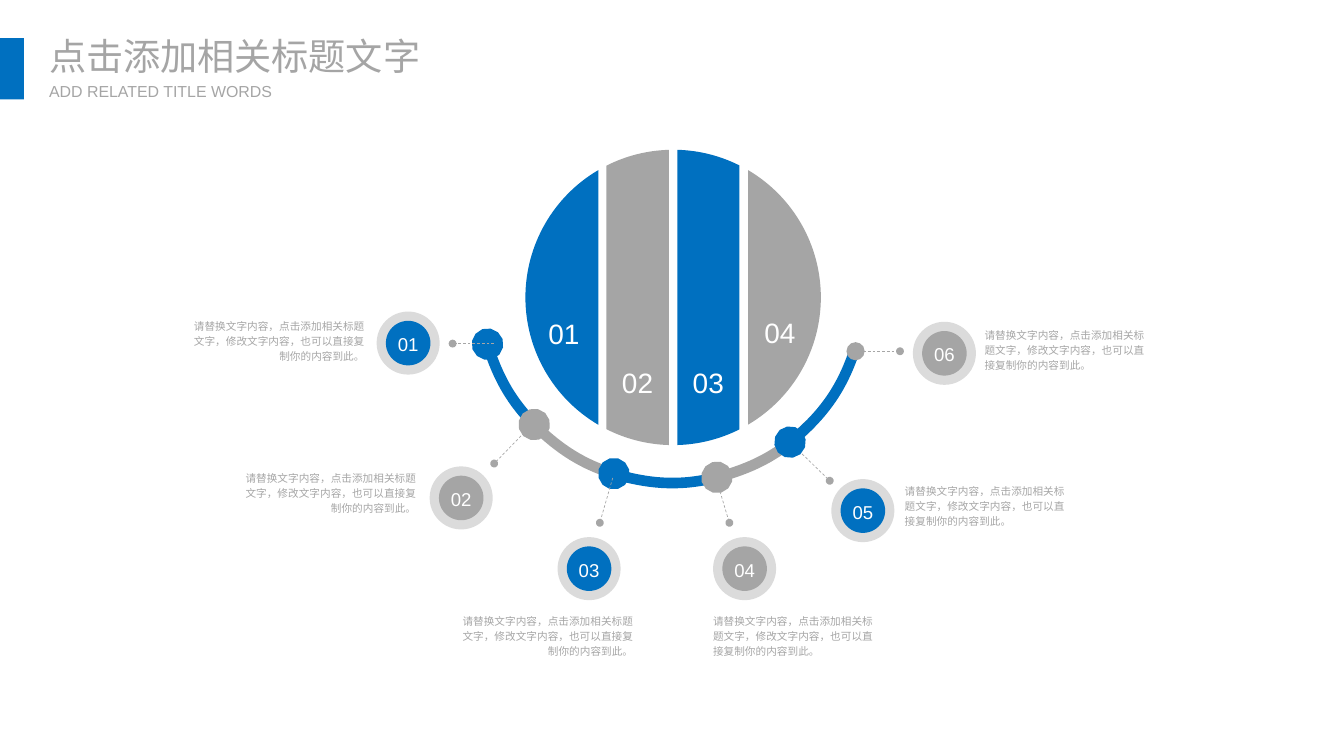
import math

import lxml.etree
import pptx
import pptx.dml.color
import pptx.enum.dml
import pptx.enum.shapes
import pptx.enum.text
import pptx.oxml.ns
import pptx.util

RGBColor = pptx.dml.color.RGBColor
Align = pptx.enum.text.PP_ALIGN
Anchor = pptx.enum.text.MSO_ANCHOR
Preset = pptx.enum.shapes.MSO_SHAPE

BLUE = RGBColor(0x00, 0x70, 0xC0)
GRAY = RGBColor(0xA5, 0xA5, 0xA5)
TEXT_GRAY = RGBColor(0xA6, 0xA6, 0xA6)
RING_GRAY = RGBColor(0xDB, 0xDB, 0xDB)
WHITE = RGBColor(0xFF, 0xFF, 0xFF)

# All lengths count cells of a square grid.
CELL = pptx.util.Inches(0.1)
COLUMNS, ROWS = 140.6, 79.1

# text, top, width, height, size
HEADINGS = [
    ("点击添加相关标题文字", 2.95, 41.4, 5.8, 28),
    ("ADD RELATED TITLE WORDS", 8, 25.7, 3.1, 12),
]
HEADING_LEFT = 4.15
ACCENT_BAR = (0, 4, 2.5, 6.4)

DISC_CENTER, DISC_RADIUS = (70.42, 31.12), 15.45
# label, left edge, right edge, label center, colour
BANDS = [
    ("01", 54.97, 62.6, (59, 34.55), BLUE),
    ("02", 63.45, 69.97, (66.7, 39.65), GRAY),
    ("03", 70.85, 77.35, (74.1, 39.65), BLUE),
    ("04", 78.25, 85.87, (81.6, 34.45), GRAY),
]
BAND_LABEL = (5.6, 3.5)

TRACK_CENTER, TRACK_RADIUS = (70.3, 30.4), 20.1
RING, CORE, END_DOT = 6.6, 4.66, 1.9
END_DOT_CENTER = (89.5, 36.75)
BODY = "请替换文字内容，点击添加相关标题文字，修改文字内容，也可以直接复制你的内容到此。"
BODY_SIZE = {Align.RIGHT: (18.9, 5.4), Align.LEFT: (17.4, 4.9)}
# arc: angles in degrees from the joint to the far end; link: joint to dot
STEPS = [
    {"label": "01", "colour": BLUE, "badge": (42.7, 35.9), "body": (19.25, 33.2),
     "align": Align.RIGHT, "link": ((51.7, 35.95), (47.35, 35.95)), "arc": (163.8, 133.8)},
    {"label": "02", "colour": GRAY, "badge": (48.25, 52.1), "body": (24.65, 49.1),
     "align": Align.RIGHT, "link": ((55.2, 44.9), (51.7, 48.5)), "arc": (135.8, 102.9)},
    {"label": "03", "colour": BLUE, "badge": (61.63, 59.5), "body": (47.35, 64.05),
     "align": Align.RIGHT, "link": ((64.1, 50), (62.75, 54.7)), "arc": (107.6, 74.5)},
    {"label": "04", "colour": GRAY, "badge": (77.9, 59.5), "body": (74.6, 64.05),
     "align": Align.LEFT, "link": ((74.9, 50), (76.3, 54.7)), "arc": (76.5, 44)},
    {"label": "05", "colour": BLUE, "badge": (90.27, 53.43), "body": (94.65, 50.45),
     "align": Align.LEFT, "link": ((83.2, 46.8), (86.8, 50.3)), "arc": (52.1, 18.6)},
    {"label": "06", "colour": GRAY, "badge": (98.8, 36.97), "body": (103, 34.1),
     "align": Align.LEFT, "link": ((89.8, 36.75), (94.15, 36.75)), "arc": None},
]


def cells(*lengths):
    return [round(length * CELL) for length in lengths]


def centered(center, width, height):
    return center[0] - width / 2, center[1] - height / 2, width, height


def curve_points(center, radius, start, end):
    """Start, two handles and end of a cubic along a circle; degrees run clockwise."""
    first, last = math.radians(start), math.radians(end)
    reach = 4 / 3 * math.tan((last - first) / 4)
    turns = [(first, 0), (first, reach), (last, -reach), (last, 0)]
    return [(center[0] + radius * (math.cos(angle) - pull * math.sin(angle)),
             center[1] + radius * (math.sin(angle) + pull * math.cos(angle)))
            for angle, pull in turns]


def set_all(target, values):
    for name, value in values.items():
        setattr(target, name, value)


def paint(shape, colour):
    shape.shadow.inherit = False
    shape.fill.solid()
    shape.fill.fore_color.rgb = colour
    shape.line.fill.background()


def add_preset(slide, preset, place, colour):
    paint(slide.shapes.add_shape(preset, *cells(*place)), colour)


def add_outline(slide, points, close=True):
    start, *rest = [cells(*point) for point in points]
    builder = slide.shapes.build_freeform(*start, scale=1.0)
    builder.add_line_segments(rest, close=close)
    outline = builder.convert_to_shape()
    outline.shadow.inherit = False
    return outline


def bend(outline, *starts):
    """Turn three straight segments into one cubic, from each given segment on."""
    segments = list(outline._element.iter(pptx.oxml.ns.qn("a:lnTo")))
    for start in starts:
        curve = segments[start]
        curve.tag = pptx.oxml.ns.qn("a:cubicBezTo")
        for segment in segments[start + 1:start + 3]:
            curve.append(segment[0])
            segment.getparent().remove(segment)


def fill_text(box, text, size, colour, inset, frame, para):
    across, down = cells(*inset)
    set_all(box.text_frame, {"margin_left": across, "margin_right": across,
                             "margin_top": down, "margin_bottom": down, **frame})
    line = box.text_frame.paragraphs[0]
    set_all(line, para)
    span = line.add_run()
    span.text = text
    set_all(span.font, {"name": "Arial", "size": pptx.util.Pt(size)})
    span.font.color.rgb = colour


def add_label(slide, text, place, size, colour, anchor, para, inset=(0, 0)):
    left, top, width, height = place
    right, bottom = left + width, top + height
    box = add_outline(slide, [(left, top), (right, top), (right, bottom), (left, bottom)])
    box.fill.background()
    box.line.fill.background()
    fill_text(box, text, size, colour, inset,
              {"word_wrap": True, "vertical_anchor": anchor}, para)


def style_line(shape, colour, width, oval_end):
    """Colour a line and put an oval at its head or tail."""
    shape.line.color.rgb = colour
    shape.line.width = pptx.util.Pt(width)
    line = shape.line._get_or_add_ln()
    lxml.etree.SubElement(line, pptx.oxml.ns.qn(f"a:{oval_end}End"), type="oval")


def add_disc(slide):
    for label, left, right, label_center, colour in BANDS:
        shares = [max(-1, min(1, (x - DISC_CENTER[0]) / DISC_RADIUS)) for x in (left, right)]
        start, end = [math.degrees(math.acos(share)) for share in shares]
        lower = curve_points(DISC_CENTER, DISC_RADIUS, start, end)
        upper = curve_points(DISC_CENTER, DISC_RADIUS, -end, -start)
        band = add_outline(slide, lower + upper)
        bend(band, 0, 4)
        paint(band, colour)
        add_label(slide, label, centered(label_center, *BAND_LABEL), 21.1, WHITE,
                  Anchor.MIDDLE, {"alignment": Align.CENTER, "line_spacing": 1.2})


def add_arc(slide, step):
    if step["arc"]:
        points = curve_points(TRACK_CENTER, TRACK_RADIUS, *step["arc"])
        arc = add_outline(slide, points, close=False)
        bend(arc, 0)
        arc.fill.background()
        style_line(arc, step["colour"], 8, "head")
    else:
        place = centered(END_DOT_CENTER, END_DOT, END_DOT)
        add_preset(slide, Preset.OVAL, place, step["colour"])


def add_link(slide, step):
    begin, end = step["link"]
    link = slide.shapes.add_connector(pptx.enum.shapes.MSO_CONNECTOR.STRAIGHT,
                                      *cells(*begin, *end))
    link.line.dash_style = pptx.enum.dml.MSO_LINE.DASH
    style_line(link, TEXT_GRAY, 0.5, "tail")
    lxml.etree.SubElement(link._element.spPr, pptx.oxml.ns.qn("a:effectLst"))


def add_step(slide, step):
    on_left = step["align"] == Align.RIGHT
    for draw in (add_arc, add_link) if on_left else (add_link, add_arc):
        draw(slide, step)
    center = step["badge"]
    for diameter, colour in ((RING, RING_GRAY), (CORE, step["colour"])):
        add_preset(slide, Preset.OVAL, centered(center, diameter, diameter), colour)
    label_place = (center[0] - CORE / 2, center[1] - 2, CORE, 3.7)
    add_label(slide, step["label"], label_place, 14, WHITE, Anchor.BOTTOM,
              {"alignment": Align.CENTER}, (0.4, 0.4))
    add_label(slide, BODY, (*step["body"], *BODY_SIZE[step["align"]]), 8, TEXT_GRAY,
              Anchor.TOP, {"alignment": step["align"], "line_spacing": 1.2,
                           "space_before": pptx.util.Pt(7.9)})


def main():
    deck = pptx.Presentation()
    deck.slide_width, deck.slide_height = cells(COLUMNS, ROWS)
    slide = deck.slides.add_slide(deck.slide_layouts[6])
    add_disc(slide)
    for step in STEPS:
        add_step(slide, step)
    add_preset(slide, Preset.RECTANGLE, ACCENT_BAR, BLUE)
    for text, top, width, height, size in HEADINGS:
        box = slide.shapes.add_textbox(*cells(HEADING_LEFT, top, width, height))
        fit = pptx.enum.text.MSO_AUTO_SIZE.SHAPE_TO_FIT_TEXT
        fill_text(box, text, size, GRAY, (1, 0.5), {"word_wrap": False, "auto_size": fit}, {})
    deck.save("out.pptx")


if __name__ == "__main__":
    main()
